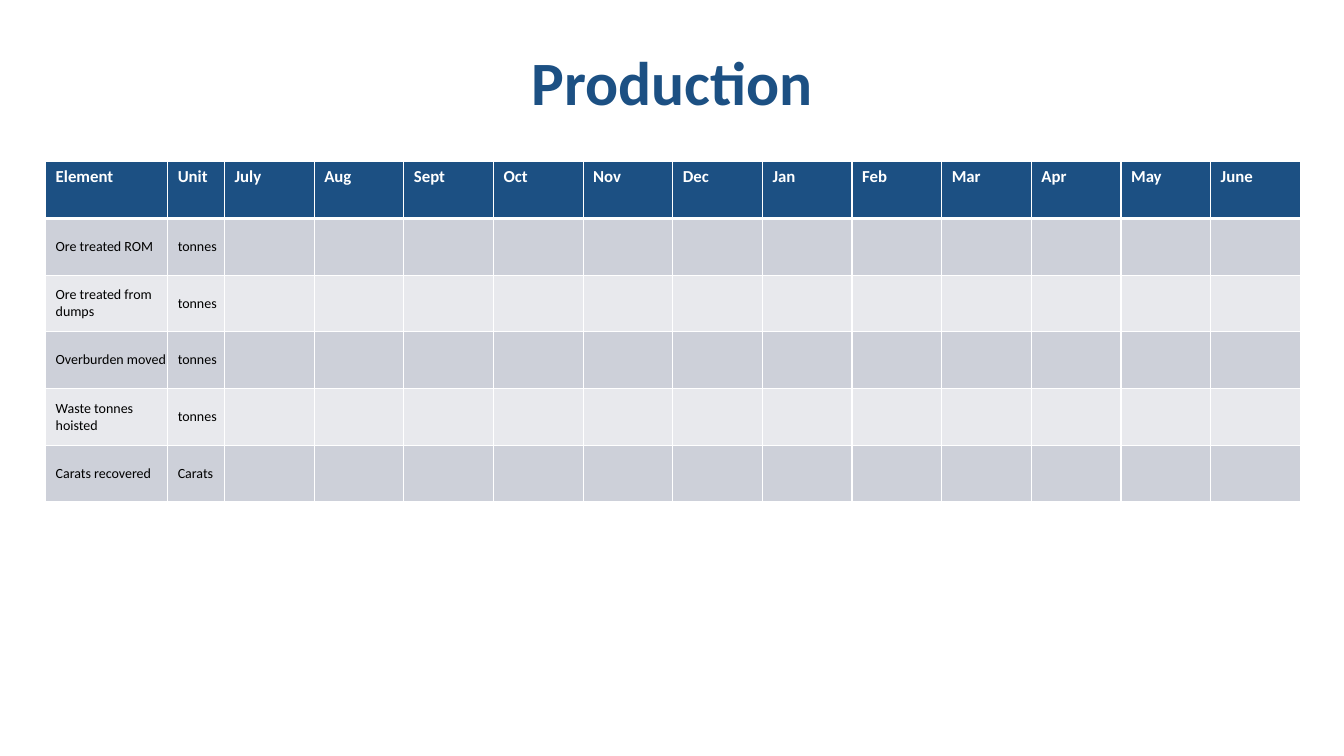
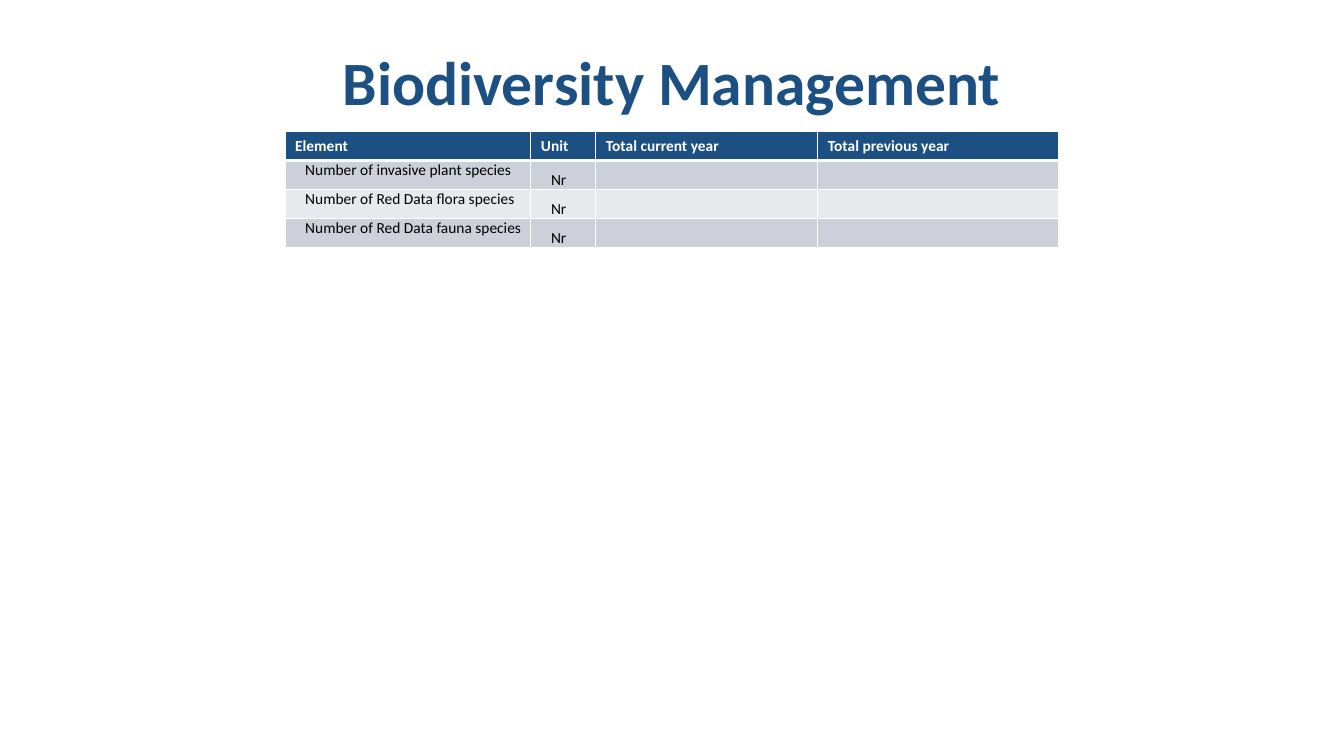
"""Build two reporting slides, each with a title and a blank data table."""
from dataclasses import dataclass

from lxml.etree import SubElement
from pptx import Presentation
from pptx.dml.color import RGBColor
from pptx.enum.text import MSO_ANCHOR, MSO_AUTO_SIZE, PP_ALIGN
from pptx.oxml.ns import qn
from pptx.util import Pt

NAVY = RGBColor(0x1C, 0x50, 0x83)
WHITE = RGBColor(0xFF, 0xFF, 0xFF)
BLACK = RGBColor(0x00, 0x00, 0x00)
BANDS = (RGBColor(0xCD, 0xD0, 0xD9), RGBColor(0xE8, 0xE9, 0xED))
FONT = "Calibri"
TITLE_ONLY = 5
THIN, THICK = 1, 3
MONTHS = ("July", "Aug", "Sept", "Oct", "Nov", "Dec",
          "Jan", "Feb", "Mar", "Apr", "May", "June")


@dataclass
class TableStyle:
    """Text sizes, label indent and label anchors of one table."""
    header_size: float
    body_size: float
    indent: float
    anchors: tuple


def style_text(para, size, color, bold=False):
    """Format every run of a paragraph."""
    for span in para.runs:
        span.font.name = FONT
        span.font.size = Pt(size)
        span.font.bold = bold
        span.font.color.rgb = color


def add_title(page, text):
    """Place and format the title placeholder."""
    title = page.shapes.title
    title.left, title.top, title.width, title.height = Pt(66), Pt(28.8), Pt(828), Pt(64.8)
    frame = title.text_frame
    frame.text = text
    frame.word_wrap = True
    frame.auto_size = MSO_AUTO_SIZE.NONE
    frame.vertical_anchor = MSO_ANCHOR.MIDDLE
    para = frame.paragraphs[0]
    para.alignment = PP_ALIGN.CENTER
    para.line_spacing = 0.9
    style_text(para, 44, NAVY, bold=True)


def set_borders(cell, top, bottom):
    """Draw white borders around a cell."""
    properties = cell._tc.get_or_add_tcPr()
    for side, width in (("L", THIN), ("R", THIN), ("T", top), ("B", bottom)):
        line = SubElement(properties, qn(f"a:ln{side}"), w=str(Pt(width)))
        fill = SubElement(line, qn("a:solidFill"))
        SubElement(fill, qn("a:srgbClr"), val=str(WHITE))


def fill_cell(cell, color):
    """Give a cell a solid fill."""
    cell.fill.solid()
    cell.fill.fore_color.rgb = color


def format_header(cell, text, style):
    """Write a column heading."""
    set_borders(cell, THIN, THICK)
    fill_cell(cell, NAVY)
    cell.text_frame.text = text
    style_text(cell.text_frame.paragraphs[0], style.header_size, WHITE, bold=True)


def format_label(cell, text, style, anchor):
    """Write an indented row label without cell margins."""
    cell.margin_left = cell.margin_right = cell.margin_top = cell.margin_bottom = 0
    cell.vertical_anchor = anchor
    cell.text_frame.text = text
    para = cell.text_frame.paragraphs[0]
    para._p.get_or_add_pPr().set("marL", str(Pt(style.indent)))
    style_text(para, style.body_size, BLACK)


def format_blank(cell, style):
    """Keep an empty cell from stretching its row."""
    para = cell.text_frame.paragraphs[0]
    SubElement(para._p, qn("a:endParaRPr"), sz=str(int(style.body_size * 100)))


def add_data_table(page, left, top, widths, row_height, headers, labels, style):
    """Add a table with headings, row labels and blank value cells."""
    row_count = len(labels) + 1
    table = page.shapes.add_table(row_count, len(headers), Pt(left), Pt(top),
                                  Pt(sum(widths)), Pt(row_height * row_count)).table
    for column, width in zip(table.columns, widths):
        column.width = Pt(width)
    for row in table.rows:
        row.height = Pt(row_height)
    for index, text in enumerate(headers):
        format_header(table.cell(0, index), text, style)
    for number, row_labels in enumerate(labels, start=1):
        for index in range(len(headers)):
            cell = table.cell(number, index)
            set_borders(cell, THICK if number == 1 else THIN, THIN)
            fill_cell(cell, BANDS[(number - 1) % 2])
            if index < len(row_labels):
                format_label(cell, row_labels[index], style, style.anchors[index])
            else:
                format_blank(cell, style)


def add_page(deck, title):
    """Add a slide with the shared title style."""
    page = deck.slides.add_slide(deck.slide_layouts[TITLE_ONLY])
    add_title(page, title)
    return page


def add_production(deck):
    """Build the monthly production slide."""
    page = add_page(deck, "Production")
    labels = (("Ore treated ROM", "tonnes"), ("Ore treated from dumps", "tonnes"),
              ("Overburden moved", "tonnes"), ("Waste tonnes hoisted", "tonnes"),
              ("Carats recovered", "Carats"))
    style = TableStyle(12, 10, 7.2, (MSO_ANCHOR.MIDDLE, MSO_ANCHOR.MIDDLE))
    widths = [87.2, 40.6] + [64.05] * len(MONTHS)
    add_data_table(page, 32.6, 115.6, widths, 40.5,
                   ("Element", "Unit") + MONTHS, labels, style)


def add_biodiversity(deck):
    """Build the biodiversity slide."""
    page = add_page(deck, "Biodiversity Management")
    subjects = ("invasive plant", "Red Data flora", "Red Data fauna")
    labels = [(f"Number of {subject} species", "Nr") for subject in subjects]
    headers = ("Element", "Unit", "Total current year", "Total previous year")
    style = TableStyle(11, 11, 14.4, (MSO_ANCHOR.TOP, MSO_ANCHOR.BOTTOM))
    add_data_table(page, 203.6, 93.8, (175.6, 46.4, 158.6, 172), 20.4,
                   headers, labels, style)


def main():
    """Create and save the deck."""
    deck = Presentation()
    deck.slide_width, deck.slide_height = Pt(960), Pt(540)
    add_production(deck)
    add_biodiversity(deck)
    deck.save("out.pptx")


if __name__ == "__main__":
    main()
